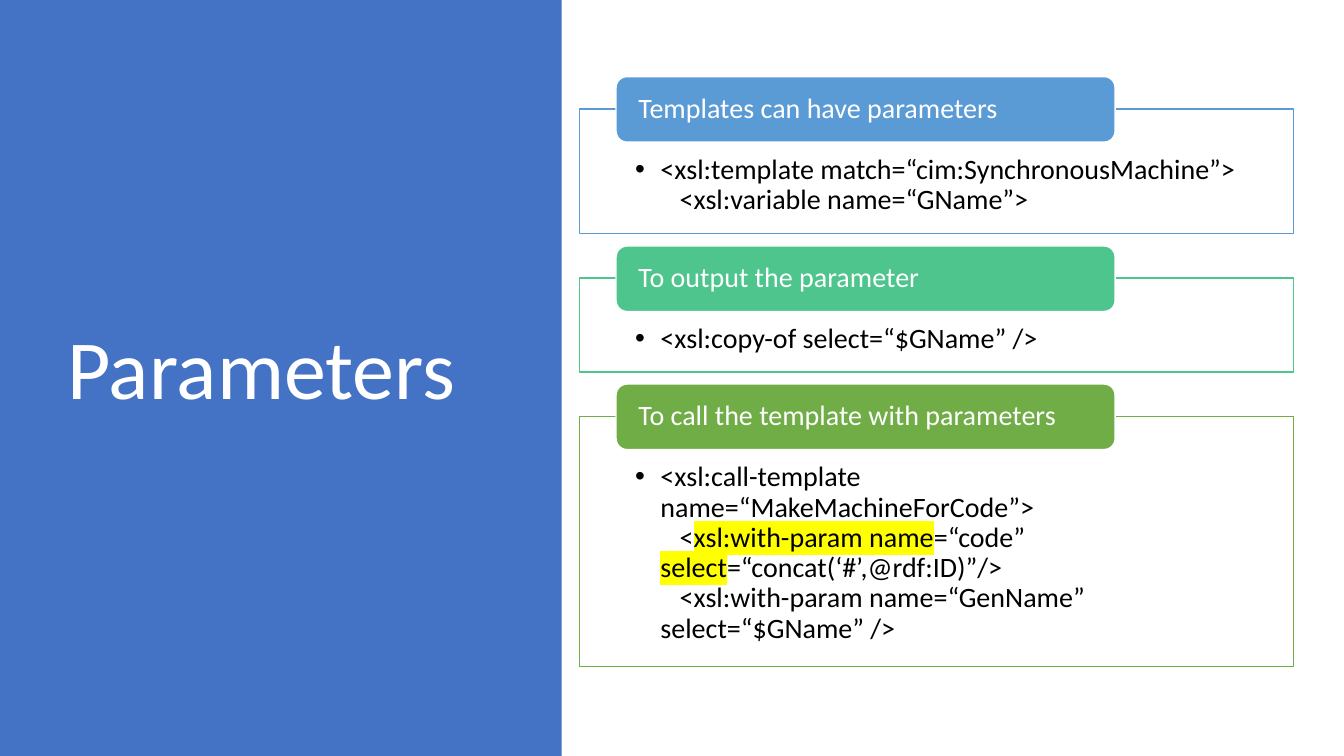
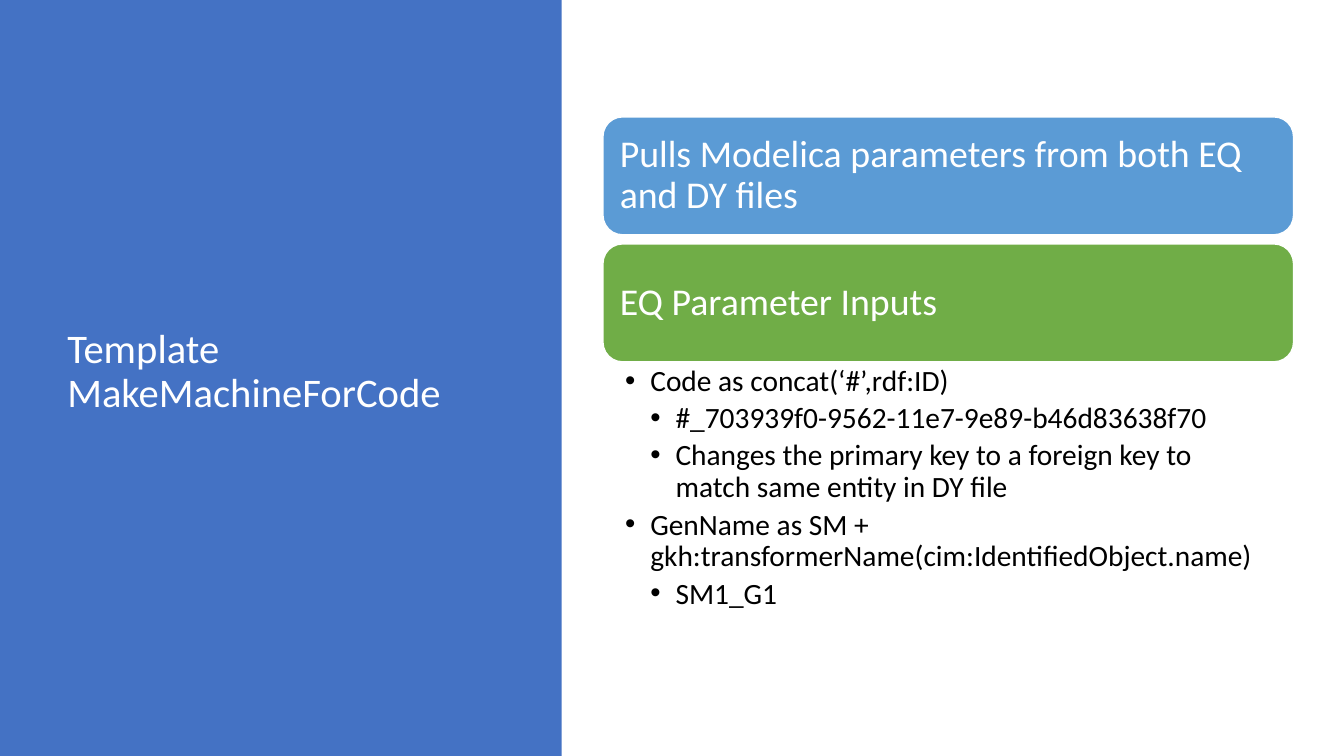
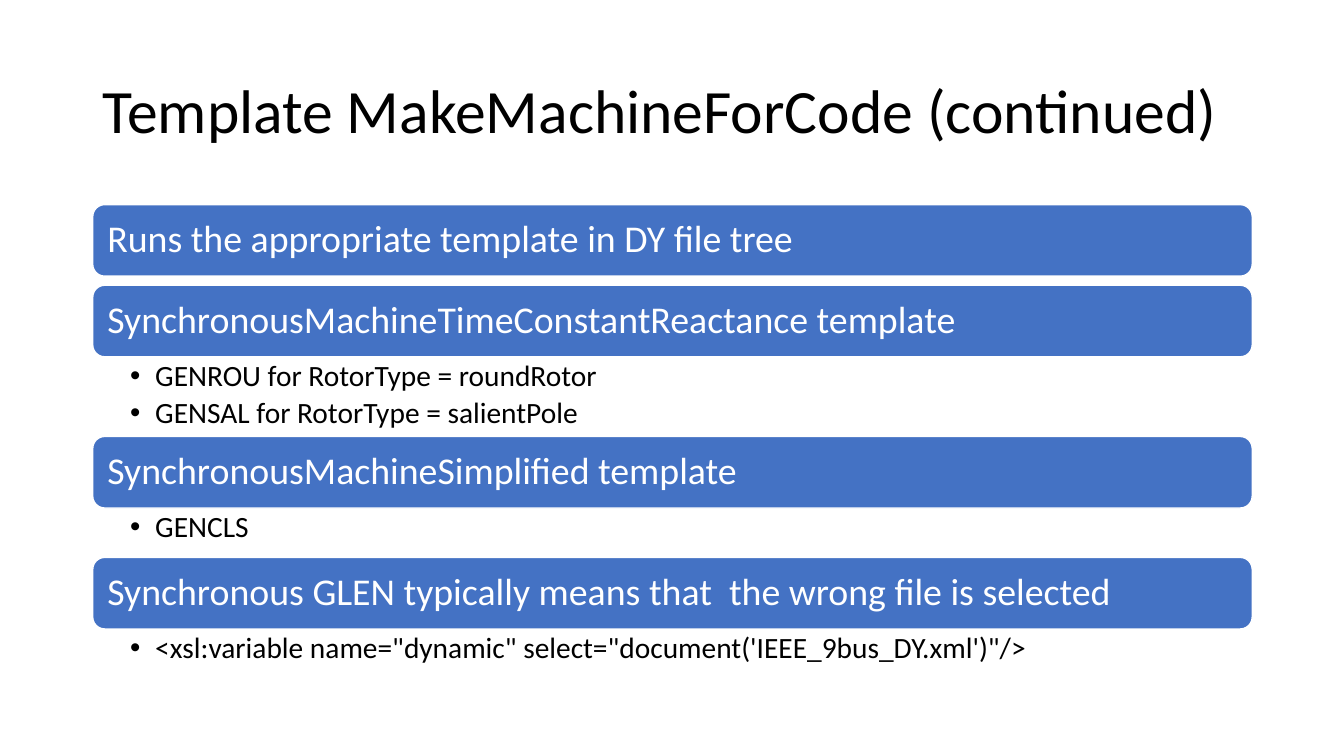
"""Build three slides on template parameters."""
from dataclasses import dataclass

from lxml.etree import SubElement
from pptx import Presentation
from pptx.dml.color import RGBColor
from pptx.enum.shapes import MSO_SHAPE
from pptx.enum.text import MSO_ANCHOR, PP_ALIGN
from pptx.oxml import parse_xml
from pptx.oxml.ns import nsdecls, qn
from pptx.util import Inches, Pt

WHITE = RGBColor(0xFF, 0xFF, 0xFF)
BLACK = RGBColor(0x00, 0x00, 0x00)
BLUE = RGBColor(0x44, 0x72, 0xC4)
SKY = RGBColor(0x5B, 0x9B, 0xD5)
MINT = RGBColor(0x4D, 0xC5, 0x8D)
GREEN = RGBColor(0x70, 0xAD, 0x47)
YELLOW = RGBColor(0xFF, 0xFF, 0x00)

FONT = "Calibri"
BULLET_STEP = 0.25
CODE_INDENT = 0.19
BAR_GAP = 0.09
FRAME_GAP = 0.44
TAB_OVERHANG = 0.32


@dataclass(frozen=True)
class Area:
    left: float
    top: float
    width: float
    height: float

    def lengths(self) -> tuple:
        return tuple(Inches(value) for value in (self.left, self.top, self.width, self.height))


@dataclass(frozen=True)
class Span:
    text: str
    marked: bool = False


@dataclass(frozen=True)
class Line:
    spans: tuple[Span, ...]
    level: int = 0
    bullet: bool = False
    indent: float = 0


@dataclass(frozen=True)
class TextStyle:
    size: float
    color: RGBColor
    insets: tuple[float, float, float, float] = (0.1, 0.05, 0.1, 0.05)
    anchor: MSO_ANCHOR = MSO_ANCHOR.MIDDLE
    space_after: float = 0


@dataclass(frozen=True)
class Section:
    heading: str
    color: RGBColor
    height: float
    lines: tuple[Line, ...]


@dataclass(frozen=True)
class Bar:
    heading: str
    color: RGBColor
    bullets: tuple[Line, ...] = ()
    bullets_height: float = 0


def plain(text: str) -> Line:
    return Line((Span(text),))


def bullet(text: str, level: int = 1) -> Line:
    return Line((Span(text),), level, True)


def code(*spans: Span) -> Line:
    return Line(spans, 1, False, CODE_INDENT)


TAB_STYLE = TextStyle(20, WHITE, (0.19, 0, 0.19, 0))
FRAME_STYLE = TextStyle(20, BLACK, (0.55, 0.46, 0.55, 0.16), MSO_ANCHOR.TOP)
BAR_STYLE = TextStyle(27, WHITE, (0.11, 0.11, 0.11, 0.11))

SECTIONS = (
    Section("Templates can have parameters", SKY, 1.24, (
        bullet("<xsl:template match=“cim:SynchronousMachine”>"),
        code(Span("<xsl:variable name=“GName”>")),
    )),
    Section("To output the parameter", MINT, 0.93, (
        bullet("<xsl:copy-of select=“$GName” />"),
    )),
    Section("To call the template with parameters", GREEN, 2.48, (
        bullet("<xsl:call-template name=“MakeMachineForCode”>"),
        code(Span("<"), Span("xsl:with-param name", True), Span("=“code” "),
             Span("select", True), Span("=“concat(‘#’,@rdf:ID)”/>")),
        code(Span("<xsl:with-param name=“GenName” select=“$GName” />")),
    )),
)

INPUT_BARS = (
    Bar("Pulls Modelica parameters from both EQ and DY files", SKY),
    Bar("EQ Parameter Inputs", GREEN, (
        bullet("Code as concat(‘#’,rdf:ID)"),
        bullet("#_703939f0-9562-11e7-9e89-b46d83638f70", 2),
        bullet("Changes the primary key to a foreign key to match same entity in DY file", 2),
        bullet("GenName as SM + gkh:transformerName(cim:IdentifiedObject.name)"),
        bullet("SM1_G1", 2),
    ), 2.63),
)

TEMPLATE_BARS = (
    Bar("Runs the appropriate template in DY file tree", BLUE),
    Bar("SynchronousMachineTimeConstantReactance template", BLUE, (
        bullet("GENROU for RotorType = roundRotor"),
        bullet("GENSAL for RotorType = salientPole"),
    ), 0.79),
    Bar("SynchronousMachineSimplified template", BLUE, (bullet("GENCLS"),), 0.49),
    Bar("Synchronous GLEN typically means that  the wrong file is selected", BLUE, (
        bullet("<xsl:variable name=\"dynamic\" select=\"document('IEEE_9bus_DY.xml')\"/>"),
    ), 0.49),
)


def set_all(target, values: dict) -> None:
    for name, value in values.items():
        setattr(target, name, value)


def add_span(para, span: Span, style: TextStyle) -> None:
    run = para.add_run()
    run.text = span.text
    set_all(run.font, {"size": Pt(style.size), "name": FONT})
    run.font.color.rgb = style.color
    if span.marked:
        highlight = parse_xml(
            f'<a:highlight {nsdecls("a")}><a:srgbClr val="{YELLOW}"/></a:highlight>')
        run.font._element.find(qn("a:solidFill")).addnext(highlight)


def write_lines(box, lines: tuple[Line, ...], style: TextStyle) -> None:
    frame = box.text_frame
    sides = ("margin_left", "margin_top", "margin_right", "margin_bottom")
    set_all(frame, {"word_wrap": True, "vertical_anchor": style.anchor})
    set_all(frame, {side: Inches(inset) for side, inset in zip(sides, style.insets)})
    for index, line in enumerate(lines):
        para = frame.add_paragraph() if index else frame.paragraphs[0]
        set_all(para, {"alignment": PP_ALIGN.LEFT, "line_spacing": 0.9,
                       "space_after": Pt(style.space_after), "level": line.level})
        properties = para._p.get_or_add_pPr()
        indent = -BULLET_STEP if line.bullet else line.indent
        properties.set("marL", str(Inches(BULLET_STEP * line.level)))
        properties.set("indent", str(Inches(indent)))
        if line.bullet:
            SubElement(properties, qn("a:buFont"), typeface="Arial")
            SubElement(properties, qn("a:buChar"), char="•")
        for span in line.spans:
            add_span(para, span, style)


def add_box(page, area: Area, kind: MSO_SHAPE, fill: RGBColor, line: RGBColor | None = None):
    box = page.shapes.add_shape(kind, *area.lengths())
    box.shadow.inherit = False
    box.fill.solid()
    box.fill.fore_color.rgb = fill
    if line is None:
        box.line.fill.background()
    else:
        box.line.color.rgb = line
        box.line.width = Pt(1)
    return box


def add_text(page, area: Area, lines: tuple[Line, ...], style: TextStyle) -> None:
    write_lines(page.shapes.add_textbox(*area.lengths()), lines, style)


def add_side_title(page, title: str, size: float) -> None:
    add_box(page, Area(0, 0, 5.57, 7.5), MSO_SHAPE.RECTANGLE, BLUE)
    add_text(page, Area(0.57, 0.68, 4.16, 6.02), (plain(title),), TextStyle(size, WHITE))


def add_sections(page, sections: tuple[Section, ...], top: float) -> None:
    for section in sections:
        frame = add_box(page, Area(5.75, top, 7.08, section.height),
                        MSO_SHAPE.RECTANGLE, WHITE, section.color)
        color = frame._element.spPr.find(qn("a:solidFill")).find(qn("a:srgbClr"))
        SubElement(color, qn("a:alpha"), val="90000")
        write_lines(frame, section.lines, FRAME_STYLE)
        tab = add_box(page, Area(6.11, top - TAB_OVERHANG, 4.95, 0.65),
                      MSO_SHAPE.ROUNDED_RECTANGLE, section.color, WHITE)
        write_lines(tab, (plain(section.heading),), TAB_STYLE)
        top += section.height + FRAME_GAP


def add_bars(page, bars: tuple[Bar, ...], first: Area, bullet_inset: float) -> None:
    style = TextStyle(21, BLACK, (bullet_inset, 0.04, 0.21, 0.04), MSO_ANCHOR.TOP, 4)
    top = first.top
    for bar in bars:
        area = Area(first.left, top, first.width, first.height)
        box = add_box(page, area, MSO_SHAPE.ROUNDED_RECTANGLE, bar.color, WHITE)
        write_lines(box, (plain(bar.heading),), BAR_STYLE)
        top += first.height
        if bar.bullets:
            add_text(page, Area(first.left, top, first.width, bar.bullets_height),
                     bar.bullets, style)
        top += bar.bullets_height or BAR_GAP


def main() -> None:
    deck = Presentation()
    set_all(deck, {"slide_width": Inches(13.33), "slide_height": Inches(7.5)})
    parameters, inputs, templates = (
        deck.slides.add_slide(deck.slide_layouts[6]) for _ in range(3))

    add_side_title(parameters, "Parameters", 60)
    add_sections(parameters, SECTIONS, 1.08)

    add_side_title(inputs, "Template MakeMachineForCode", 29)
    add_bars(inputs, INPUT_BARS, Area(5.98, 1.16, 6.85, 1.17), 0.22)

    add_text(templates, Area(0.92, 0.4, 11.5, 1.45),
             (plain("Template MakeMachineForCode (continued)"),), TextStyle(44, BLACK))
    add_bars(templates, TEMPLATE_BARS, Area(0.92, 2.03, 11.5, 0.71), 0.37)

    deck.save("out.pptx")


if __name__ == "__main__":
    main()
